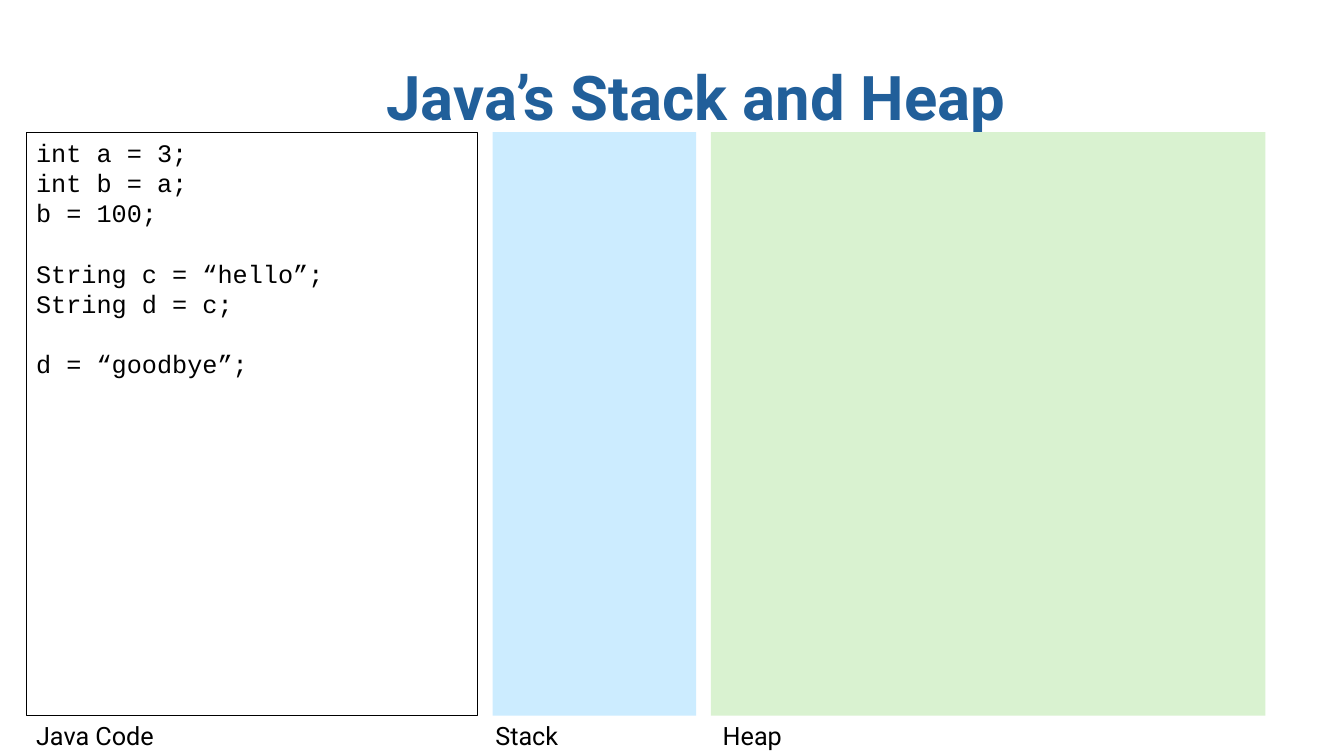
from dataclasses import dataclass

from pptx import Presentation
from pptx.dml.color import RGBColor
from pptx.enum.shapes import MSO_SHAPE
from pptx.enum.text import MSO_ANCHOR, MSO_AUTO_SIZE, PP_ALIGN
from pptx.util import Inches, Pt


@dataclass(frozen=True)
class Theme:
    heading_font: str = "Roboto"
    code_font: str = "Courier New"
    title_size: float = 44
    body_size: float = 18
    code_gap: float = 21.6
    outline_width: float = 0.75
    title_color: str = "215F9A"
    text_color: str = "000000"
    stack_fill: str = "CCECFF"
    heap_fill: str = "D9F2D0"


@dataclass(frozen=True)
class Box:
    left: float
    top: float
    width: float
    height: float

    def share(self, left, top, width, height):
        return Box(
            self.left + self.width * left / 100,
            self.top + self.height * top / 100,
            self.width * width / 100,
            self.height * height / 100,
        )

    def lengths(self):
        return [Inches(value) for value in (self.left, self.top, self.width, self.height)]


THEME = Theme()
PAGE = Box(0, 0, 13.33, 7.5)
TITLE_BOX = PAGE.share(8.4, 8.27, 86.8, 12.53)
PANEL_TOP, PANEL_HEIGHT = 17.47, 77.2
PANEL_LEFT, PANEL_GAP = 1.95, 1.09
LABEL_WIDTH, LABEL_HEIGHT = 11.85, 5.33
PANELS = [
    ("Java Code", 33.61, 0, None),
    ("Stack", 15.15, -0.53, THEME.stack_fill),
    ("Heap", 41.26, 0.15, THEME.heap_fill),
]
CODE_GROUPS = [
    ["int a = 3;", "int b = a;", "b = 100;"],
    ["String c = “hello”;", "String d = c;"],
    ["d = “goodbye”;"],
]


def style_paragraph(paragraph, font_name, size, color, bold=False):
    for run in paragraph.runs:
        run.font.name = font_name
        run.font.size = Pt(size)
        run.font.bold = bold
        run.font.color.rgb = RGBColor.from_string(color)


def add_title(slide, box):
    title = slide.shapes.title
    title.left, title.top, title.width, title.height = box.lengths()
    frame = title.text_frame
    frame.text = "Java’s Stack and Heap"
    frame.auto_size = MSO_AUTO_SIZE.NONE
    frame.vertical_anchor = MSO_ANCHOR.TOP
    paragraph = frame.paragraphs[0]
    paragraph.alignment = PP_ALIGN.CENTER
    paragraph.line_spacing = 0.9
    style_paragraph(paragraph, THEME.heading_font, THEME.title_size, THEME.title_color, True)


def add_panel(slide, box, fill):
    panel = slide.shapes.add_shape(MSO_SHAPE.RECTANGLE, *box.lengths())
    panel.shadow.inherit = False
    if fill:
        panel.fill.solid()
        panel.fill.fore_color.rgb = RGBColor.from_string(fill)
        panel.line.fill.background()
    else:
        panel.fill.background()
        panel.line.color.rgb = RGBColor.from_string(THEME.text_color)
        panel.line.width = Pt(THEME.outline_width)
    return panel


def add_code(panel):
    frame = panel.text_frame
    frame.text = "\n".join(line for group in CODE_GROUPS for line in group)
    frame.vertical_anchor = MSO_ANCHOR.TOP
    group_starts = {group[0] for group in CODE_GROUPS[1:]}
    for paragraph in frame.paragraphs:
        paragraph.alignment = PP_ALIGN.LEFT
        if paragraph.text in group_starts:
            paragraph.space_before = Pt(THEME.code_gap)
        style_paragraph(paragraph, THEME.code_font, THEME.body_size, THEME.text_color)


def add_label(slide, box, text):
    frame = slide.shapes.add_textbox(*box.lengths()).text_frame
    frame.word_wrap = True
    frame.auto_size = MSO_AUTO_SIZE.SHAPE_TO_FIT_TEXT
    frame.text = text
    style_paragraph(frame.paragraphs[0], THEME.heading_font, THEME.body_size, THEME.text_color)


def add_memory_panels(slide, box):
    left = PANEL_LEFT
    label_top = PANEL_TOP + PANEL_HEIGHT
    for name, width, label_shift, fill in PANELS:
        panel = add_panel(slide, box.share(left, PANEL_TOP, width, PANEL_HEIGHT), fill)
        if fill is None:
            add_code(panel)
        label_box = box.share(left + label_shift, label_top, LABEL_WIDTH, LABEL_HEIGHT)
        add_label(slide, label_box, name)
        left += width + PANEL_GAP


def main():
    presentation = Presentation()
    presentation.slide_width = Inches(PAGE.width)
    presentation.slide_height = Inches(PAGE.height)
    slide = presentation.slides.add_slide(presentation.slide_layouts.get_by_name("Title Only"))
    add_title(slide, TITLE_BOX)
    add_memory_panels(slide, PAGE)
    presentation.save("out.pptx")


if __name__ == "__main__":
    main()
